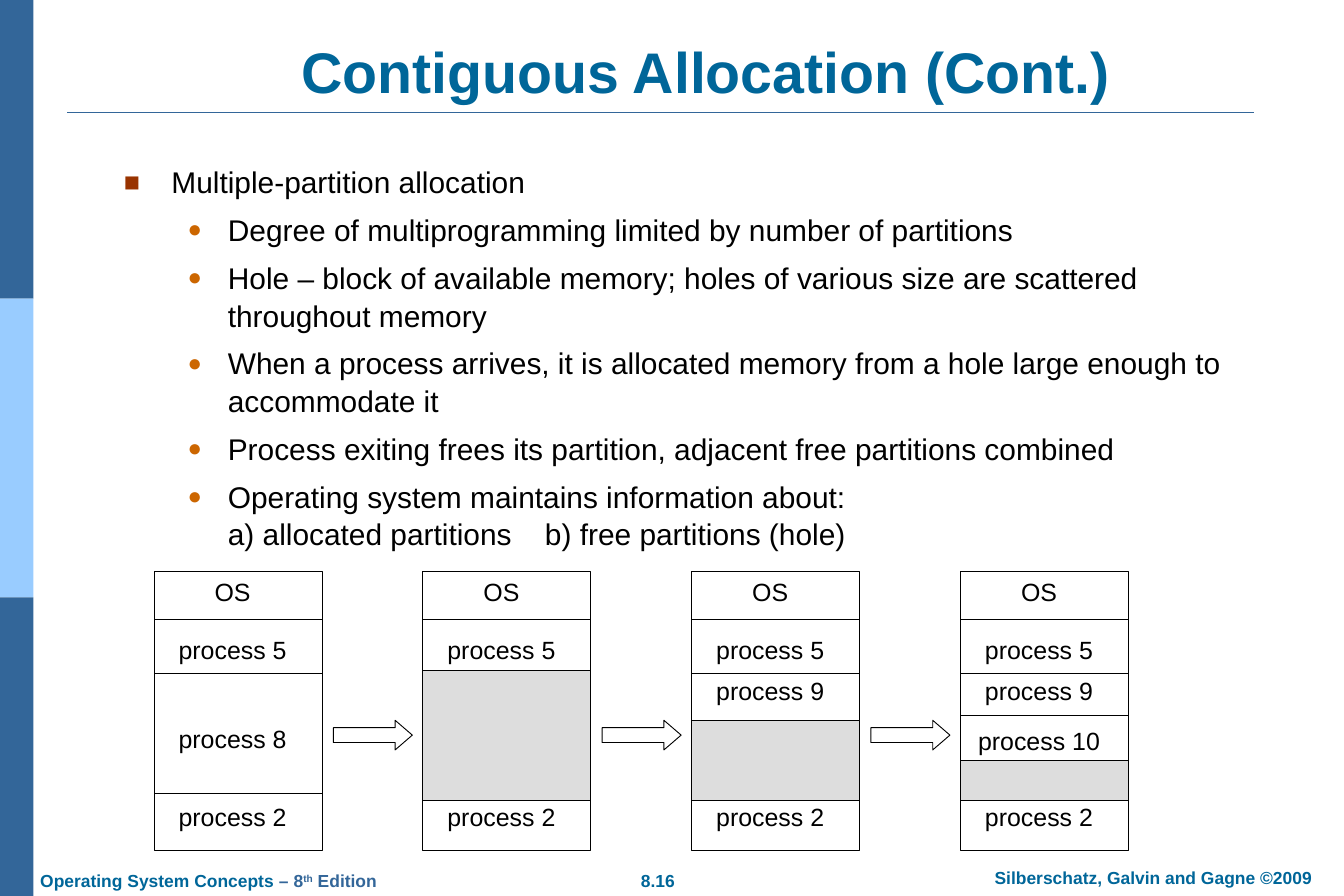
from lxml import etree
from pptx import Presentation
from pptx.dml.color import RGBColor
from pptx.enum import shapes, text
from pptx.oxml import ns
from pptx.util import Cm, Pt

NAVY = RGBColor(0x33, 0x66, 0x99)
SKY = RGBColor(0x99, 0xCC, 0xFF)
TEAL = RGBColor(0x00, 0x66, 0x99)
BLACK = RGBColor(0, 0, 0)
WHITE = RGBColor(0xFF, 0xFF, 0xFF)
HOLE_GREY = RGBColor(0xDD, 0xDD, 0xDD)
RUST = RGBColor(0x99, 0x33, 0x00)
ORANGE = RGBColor(0xCC, 0x66, 0x00)

LEFT, CENTER = text.PP_ALIGN.LEFT, text.PP_ALIGN.CENTER
RECTANGLE = shapes.MSO_SHAPE.RECTANGLE

MEMORY_LEFT, MEMORY_TOP = 4.37, 16.2
MEMORY_WIDTH, MEMORY_HEIGHT = 4.76, 7.9
MEMORY_PITCH = 7.62
HOLE_BOTTOM = 22.68
OS_END, PROCESS_5_END = 17.55, 19.08

COMMON_LABELS = [("OS", 16.76), ("process 5", 18.42), ("process 2", 23.14)]
PROCESS_9 = ("process 9", 19.58)
MEMORY_STATES = [
    ([OS_END, PROCESS_5_END, 22.5], None, [("process 8", 20.93)]),
    ([OS_END], 19.02, []),
    ([OS_END, PROCESS_5_END], 20.42, [PROCESS_9]),
    ([OS_END, PROCESS_5_END, 20.27], 21.56, [PROCESS_9, ("process 10", 20.98)]),
]

TOPIC = "Multiple-partition allocation"
POINTS = [
    "Degree of multiprogramming limited by number of partitions",
    "Hole – block of available memory; holes of various size are scattered throughout memory",
    "When a process arrives, it is allocated memory from a hole large enough to accommodate it",
    "Process exiting frees its partition, adjacent free partitions combined",
    "Operating system maintains information about:\va) allocated partitions\tb) free partitions (hole)",
]


def add_block(slide, kind, left, top, width, height, fill, outline=None):
    block = slide.shapes.add_shape(kind, Cm(left), Cm(top), Cm(width), Cm(height))
    block.shadow.inherit = False
    block.fill.solid()
    block.fill.fore_color.rgb = fill
    if outline is None:
        block.line.fill.background()
    else:
        block.line.color.rgb = outline
        block.line.width = Pt(0.75)
    return block


def add_rule(slide, left, right, y, color, weight):
    rule = slide.shapes.add_connector(
        shapes.MSO_CONNECTOR.STRAIGHT, Cm(left), Cm(y), Cm(right), Cm(y))
    rule.line.color.rgb = color
    rule.line.width = Pt(weight)
    etree.SubElement(rule._element.spPr, ns.qn("a:effectLst"))


def style_run(run, size, color, bold=False):
    run.font.name = "Arial"
    run.font.size = Pt(size)
    run.font.bold = bold
    run.font.color.rgb = color


def add_frame(slide, left, top, width, height, anchor=text.MSO_ANCHOR.TOP):
    frame = slide.shapes.add_textbox(Cm(left), Cm(top), Cm(width), Cm(height)).text_frame
    frame.word_wrap = True
    frame.vertical_anchor = anchor
    frame.margin_left = frame.margin_right = Cm(0.36)
    frame.margin_top = frame.margin_bottom = Cm(0.18)
    return frame


def add_label(slide, words, box, size, color, bold=False, align=CENTER,
              anchor=text.MSO_ANCHOR.MIDDLE):
    frame = add_frame(slide, *box, anchor)
    frame.text = words
    line = frame.paragraphs[0]
    line.alignment = align
    style_run(line.runs[0], size, color, bold)
    return line


def set_bullet(paragraph, char, color, percent, margin, hanging, tab=None):
    props = paragraph._p.get_or_add_pPr()
    props.set("marL", str(Cm(margin)))
    props.set("indent", str(-Cm(hanging)))
    bullet_color = etree.SubElement(props, ns.qn("a:buClr"))
    etree.SubElement(bullet_color, ns.qn("a:srgbClr"), val=str(color))
    etree.SubElement(props, ns.qn("a:buSzPct"), val=str(percent * 1000))
    etree.SubElement(props, ns.qn("a:buFont"), typeface="Arial")
    etree.SubElement(props, ns.qn("a:buChar"), char=char)
    if tab:
        stops = etree.SubElement(props, ns.qn("a:tabLst"))
        etree.SubElement(stops, ns.qn("a:tab"), pos=str(Cm(tab)), algn="l")


def add_outline(slide):
    frame = add_frame(slide, 3.15, 4.42, 32.38, 12.09)
    for index, words in enumerate([TOPIC] + POINTS):
        if index == 0:
            item = frame.paragraphs[0]
            set_bullet(item, "■", RUST, 90, 1.35, 1.35)
        else:
            item = frame.add_paragraph()
            item.level = 1
            set_bullet(item, "●", ORANGE, 80, 2.95, 1.14, 11.94 if "\t" in words else None)
            item.space_before = Pt(8.2)
        item.text = words
        item.line_spacing = 1.05
        for run in item.runs:
            style_run(run, 24, BLACK)


def add_memory(slide, left, dividers, hole_top, labels):
    add_block(slide, RECTANGLE, left, MEMORY_TOP, MEMORY_WIDTH, MEMORY_HEIGHT, WHITE, BLACK)
    for y in dividers:
        add_rule(slide, left, left + MEMORY_WIDTH, y, BLACK, 0.75)
    if hole_top:
        add_block(slide, RECTANGLE, left, hole_top, MEMORY_WIDTH,
                  HOLE_BOTTOM - hole_top, HOLE_GREY, BLACK)
    for words, middle in COMMON_LABELS + labels:
        add_label(slide, words, (left, middle - 0.61, 4.45, 1.22), 20, BLACK)


def add_step_arrow(slide, left):
    arrow = add_block(slide, shapes.MSO_SHAPE.RIGHT_ARROW, left, 20.42, 2.24, 0.84, WHITE, BLACK)
    arrow.adjustments[0] = 0.5
    arrow.adjustments[1] = 0.58


def add_footer(slide):
    top = text.MSO_ANCHOR.TOP
    add_label(slide, "8.16", (17.6, 24.49, 2.1, 0.9), 14, TEAL, True, anchor=top)
    add_label(slide, "Silberschatz, Galvin and Gagne ©2009",
              (27.3, 24.41, 10.8, 0.9), 14, TEAL, True, anchor=top)
    book = add_label(slide, "Operating System Concepts",
                     (0.78, 24.5, 10.8, 0.9), 14, TEAL, True, LEFT, top)
    for words in (" – 8", "th", " Edition"):
        run = book.add_run()
        run.text = words
        style_run(run, 14, NAVY, True)
        if words == "th":
            run._r.get_or_add_rPr().set("baseline", "30000")


def main():
    deck = Presentation()
    deck.slide_width, deck.slide_height = Cm(38.1), Cm(25.4)
    slide = deck.slides.add_slide(deck.slide_layouts[6])

    stripe_height = 25.4 / 3
    for index, color in enumerate((NAVY, SKY, NAVY)):
        add_block(slide, RECTANGLE, 0, index * stripe_height, 0.95, stripe_height, color)
    add_rule(slide, 1.9, 35.56, 3.19, NAVY, 1.5)
    add_footer(slide)

    add_label(slide, "Contiguous Allocation (Cont.)", (3.81, 1.02, 32.38, 2.13),
              46, TEAL, True, anchor=text.MSO_ANCHOR.BOTTOM)
    add_outline(slide)

    for index, state in enumerate(MEMORY_STATES):
        left = MEMORY_LEFT + index * MEMORY_PITCH
        add_memory(slide, left, *state)
        if index < len(MEMORY_STATES) - 1:
            add_step_arrow(slide, left + 5.08)

    deck.save("out.pptx")


if __name__ == "__main__":
    main()
